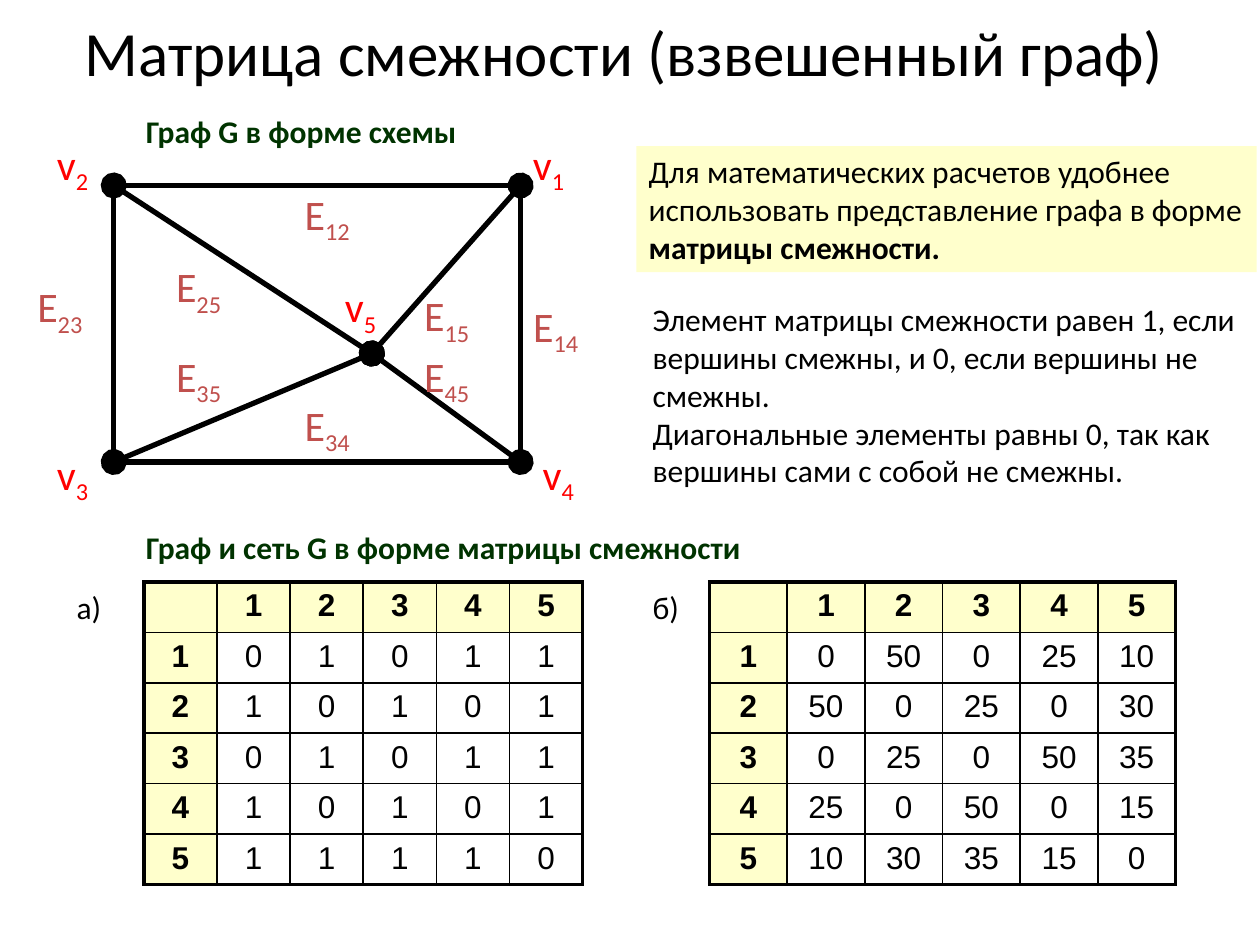
from pptx import Presentation
from pptx.dml.color import RGBColor
from pptx.enum.shapes import MSO_CONNECTOR, MSO_SHAPE
from pptx.enum.text import MSO_ANCHOR, PP_ALIGN
from pptx.oxml.ns import qn
from pptx.util import Pt
from lxml.etree import SubElement

COLORS = {"black": "000000", "white": "FFFFFF", "cream": "FFFFCC",
          "vertex": "FF0000", "edge": "C0504D", "heading": "003300"}

# Content: positions in points
TITLE = "Матрица смежности (взвешенный граф) "
HEADINGS = [("Граф G в форме схемы", 76.3, 60.5, 238.5),
            ("Граф и сеть G в форме матрицы смежности", 76.3, 298, 527)]
NOTE = [("Для математических расчетов удобнее использовать "
         "представление графа в форме ", False),
        ("матрицы смежности.", True)]
EXPLANATION = [
    "Элемент матрицы смежности равен 1, если вершины смежны, "
    "и 0, если вершины не смежны.",
    "Диагональные элементы равны 0, так как вершины сами с собой не смежны.",
]

VERTICES = {1: (297.5, 106), 2: (65, 106), 3: (65, 264),
            4: (297.5, 264), 5: (212.5, 202)}
SIDES = [(3, 2), (4, 1), (2, 1), (4, 3)]
SPOKES = [(5, 4), (5, 1), (5, 3), (5, 2)]
VERTEX_LABELS = {"4": (303, 252.7), "1": (297.5, 75.6), "2": (25.5, 75.6),
                 "3": (25.5, 252.7), "5": (190, 157)}
EDGE_LABELS = {"12": (167, 104), "14": (297.5, 168), "15": (235.3, 162),
               "25": (93.5, 145.5), "23": (14.2, 157), "35": (93.5, 196.5),
               "45": (235.3, 196.5), "34": (167, 224.5)}

# Matrices: label, label left, table left, column width, values
MATRICES = [
    ("а)", 36.7, 82.2, 41.8, [[0, 1, 0, 1, 1],
                              [1, 0, 1, 0, 1],
                              [0, 1, 0, 1, 1],
                              [1, 0, 1, 0, 1],
                              [1, 1, 1, 1, 0]]),
    ("б)", 365.8, 405.4, 44.4, [[0, 50, 0, 25, 10],
                                [50, 0, 25, 0, 30],
                                [0, 25, 0, 50, 35],
                                [25, 0, 50, 0, 15],
                                [10, 30, 35, 15, 0]]),
]
MATRIX_TOP, ROW_HEIGHT = 332.5, 28.8
INNER_LINE, OUTER_LINE = 1, 2.25


def rgb(name):
    return RGBColor.from_string(COLORS[name])


def style(span, size=18, color="black", bold=False, font="Calibri"):
    span.font.name = font
    span.font.size = Pt(size)
    span.font.bold = bold
    span.font.color.rgb = rgb(color)


def add_text(page, paragraphs, left, top, width, height, **look):
    box = page.shapes.add_textbox(Pt(left), Pt(top), Pt(width), Pt(height))
    frame = box.text_frame
    frame.word_wrap = True
    frame.text = "\n".join(paragraphs)
    for para in frame.paragraphs:
        for span in para.runs:
            style(span, **look)
    return box


def add_label(page, letter, index, place, width, color):
    box = add_text(page, [letter], *place, width, 36, size=24, color=color)
    subscript = box.text_frame.paragraphs[0].add_run()
    subscript.text = index
    style(subscript, 24, color)
    subscript.font._element.set("baseline", "-25000")


def add_edge(page, start, end, dots):
    points = [Pt(value) for value in VERTICES[start] + VERTICES[end]]
    edge = page.shapes.add_connector(MSO_CONNECTOR.STRAIGHT, *points)
    edge.line.color.rgb = rgb("black")
    edge.line.width = Pt(3)
    if dots:
        line = edge.line._get_or_add_ln()
        for tag in ("a:headEnd", "a:tailEnd"):
            SubElement(line, qn(tag), type="oval", w="lg", len="lg")
    SubElement(edge._element.spPr, qn("a:effectLst"))


def set_borders(cell, widths):
    properties = cell._tc.get_or_add_tcPr()
    for side, width in zip("LRTB", widths):
        line = SubElement(properties, qn("a:ln" + side), w=str(Pt(width)))
        fill = SubElement(line, qn("a:solidFill"))
        SubElement(fill, qn("a:srgbClr"), val=COLORS["black"])


def add_matrix(page, left, column_width, values):
    count = len(values) + 1
    rows = [["", *range(1, count)]]
    rows += [[number, *row] for number, row in enumerate(values, 1)]
    table = page.shapes.add_table(
        count, count, Pt(left), Pt(MATRIX_TOP),
        Pt(column_width * count), Pt(ROW_HEIGHT * count)).table
    for column in table.columns:
        column.width = Pt(column_width)
    for row in table.rows:
        row.height = Pt(ROW_HEIGHT)
    last = count - 1
    for r, row in enumerate(rows):
        for c, value in enumerate(row):
            cell = table.cell(r, c)
            header = r == 0 or c == 0
            outer = (c == 0, c == last, r == 0, r == last)
            set_borders(cell, [OUTER_LINE if o else INNER_LINE for o in outer])
            cell.fill.solid()
            cell.fill.fore_color.rgb = rgb("cream" if header else "white")
            para = cell.text_frame.paragraphs[0]
            para.text = str(value)
            para.alignment = PP_ALIGN.CENTER
            for span in para.runs:
                style(span, bold=header, font="Arial")


def main():
    deck = Presentation()
    deck.slide_width, deck.slide_height = Pt(720), Pt(540)
    page = deck.slides.add_slide(deck.slide_layouts[6])

    # Graph
    for start, end in SIDES:
        add_edge(page, start, end, dots=False)
    for start, end in SPOKES:
        add_edge(page, start, end, dots=True)
    for index, place in VERTEX_LABELS.items():
        add_label(page, "v", index, place, 45, "vertex")
    for index, place in EDGE_LABELS.items():
        add_label(page, "E", index, place, 57, "edge")

    # Headings
    for text, left, top, width in HEADINGS:
        add_text(page, [text], left, top, width, 29, color="heading", bold=True)

    # Highlighted note
    note = page.shapes.add_shape(MSO_SHAPE.RECTANGLE,
                                 Pt(363.6), Pt(83.5), Pt(354.5), Pt(72))
    note.shadow.inherit = False
    note.fill.solid()
    note.fill.fore_color.rgb = rgb("cream")
    note.line.fill.background()
    note.text_frame.word_wrap = True
    note.text_frame.vertical_anchor = MSO_ANCHOR.TOP
    para = note.text_frame.paragraphs[0]
    para.alignment = PP_ALIGN.LEFT
    for text, bold in NOTE:
        span = para.add_run()
        span.text = text
        style(span, bold=bold)

    # Matrices
    for label, label_left, left, column_width, values in MATRICES:
        add_matrix(page, left, column_width, values)
        add_text(page, [label], label_left, MATRIX_TOP, 34, 29)

    # Explanation and title
    add_text(page, EXPLANATION, 365.8, 168, 352, 117)
    title = add_text(page, [TITLE], 36.7, 3.6, 648, 51, size=36)
    title.text_frame.vertical_anchor = MSO_ANCHOR.MIDDLE
    title.text_frame.paragraphs[0].alignment = PP_ALIGN.CENTER

    deck.save("out.pptx")


if __name__ == "__main__":
    main()
